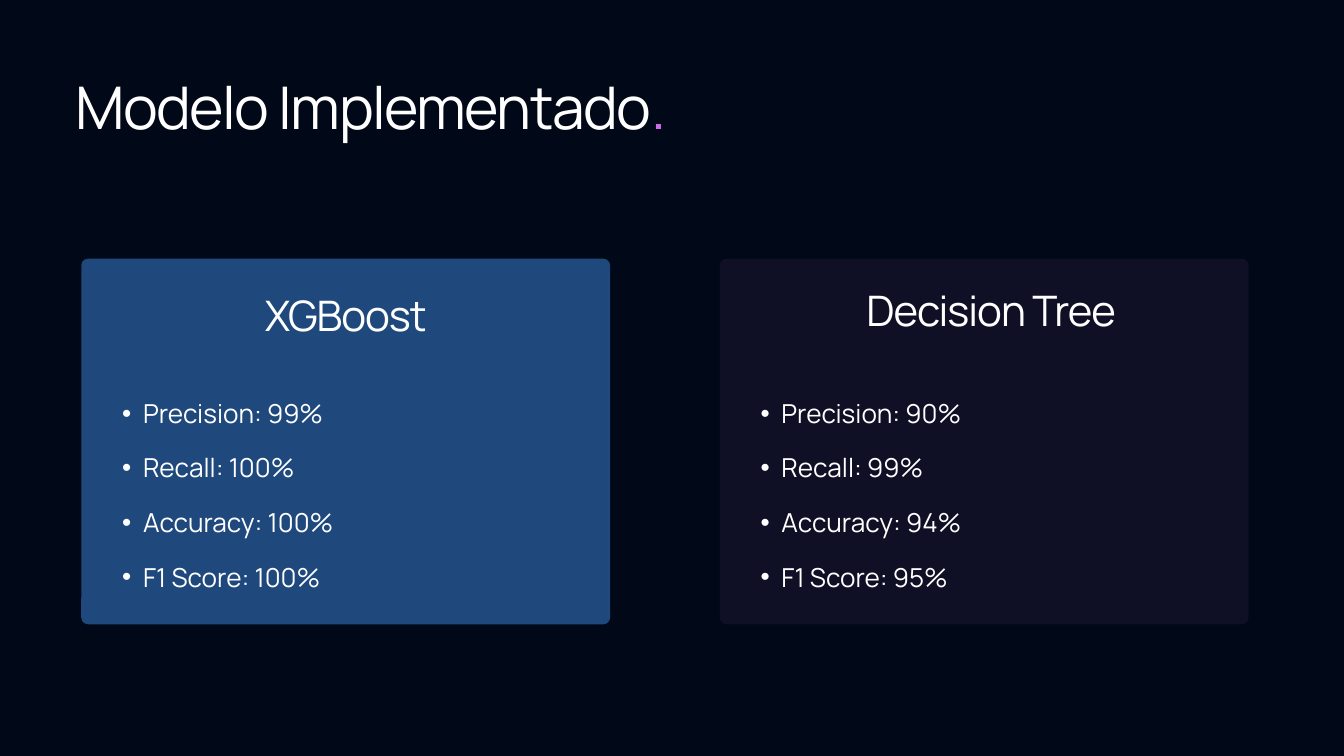
from lxml import etree
from pptx import Presentation
from pptx import util as u
from pptx.dml import color
from pptx.enum import shapes, text
from pptx.oxml import ns

FONT = "Manrope"
COLORS = {
    "background": "010817",
    "text": "FFFFFF",
    "accent": "CB6CE6",
    "blue": "1F497D",
}
CARD_TOP, CARD_WIDTH, CARD_HEIGHT = 3.85, 7.87, 5.44
CORNER = 0.1
MODELS = [
    {
        "name": "XGBoost", "left": 1.21, "fill": "blue", "alpha": None,
        "heading": (3.27, 4.37, 3.75, 0.51), "heading_fill": "blue",
        "metrics": ["Precision: 99%", "Recall: 100%", "Accuracy: 100%", "F1 Score: 100%"],
    },
    {
        "name": "Decision Tree", "left": 10.71, "fill": "accent", "alpha": 7,
        "heading": (12.25, 4.3, 5, 0.7), "heading_fill": None,
        "metrics": ["Precision: 90%", "Recall: 99%", "Accuracy: 94%", "F1 Score: 95%"],
    },
]


def rgb(name):
    return color.RGBColor.from_string(COLORS[name])


def place(sp, left, top, width, height):
    sp.left, sp.top = u.Inches(left), u.Inches(top)
    sp.width, sp.height = u.Inches(width), u.Inches(height)


def style_run(r, size, color_name="text", spacing=0):
    r.font.name = FONT
    r.font.size = u.Pt(size)
    r.font.color.rgb = rgb(color_name)
    if spacing:
        r.font._element.set("spc", str(round(spacing * 100)))


def set_frame(tf, inset=None):
    tf.word_wrap = True
    tf.auto_size = text.MSO_AUTO_SIZE.SHAPE_TO_FIT_TEXT
    tf.vertical_anchor = text.MSO_ANCHOR.TOP
    if inset is not None:
        tf.margin_left = tf.margin_right = u.Inches(inset)
        tf.margin_top = tf.margin_bottom = u.Inches(inset)


def add_title(s, words, mark):
    sp = s.shapes.title
    place(sp, 1.12, 1.14, 11.21, 0.97)
    set_frame(sp.text_frame, 0)
    p = sp.text_frame.paragraphs[0]
    p.alignment = text.PP_ALIGN.LEFT
    p.line_spacing = u.Pt(69.3)
    for part, color_name in ((words, "text"), (mark, "accent")):
        r = p.add_run()
        r.text = part
        style_run(r, 63, color_name, -1.6)


def add_filled(s, kind, box, fill):
    sp = s.shapes.add_shape(kind, *map(u.Inches, box))
    sp.shadow.inherit = False
    sp.line.fill.background()
    sp.fill.solid()
    sp.fill.fore_color.rgb = rgb(fill)
    return sp


def add_card(s, left, fill, alpha):
    sp = add_filled(s, shapes.MSO_SHAPE.ROUNDED_RECTANGLE,
                    (left, CARD_TOP, CARD_WIDTH, CARD_HEIGHT), fill)
    sp.adjustments[0] = CORNER / CARD_HEIGHT
    if alpha is not None:
        clr = sp._element.spPr.find(ns.qn("a:solidFill"))[0]
        etree.SubElement(clr, ns.qn("a:alpha")).set("val", str(alpha * 1000))


def add_heading(s, words, box, fill):
    if fill:
        sp = add_filled(s, shapes.MSO_SHAPE.RECTANGLE, box, fill)
    else:
        sp = s.shapes.add_textbox(*map(u.Inches, box))
    set_frame(sp.text_frame, 0)
    sp.text_frame.text = words
    p = sp.text_frame.paragraphs[0]
    p.alignment = text.PP_ALIGN.CENTER
    p.line_spacing = u.Pt(49.5)
    style_run(p.runs[0], 45, spacing=-1.1)


def add_bullet(p):
    pPr = p._p.get_or_add_pPr()
    indent = u.Inches(0.31)
    pPr.set("marL", str(indent))
    pPr.set("indent", str(-indent))
    etree.SubElement(pPr, ns.qn("a:buFont")).set("typeface", "Arial")
    etree.SubElement(pPr, ns.qn("a:buChar")).set("char", "•")


def add_metrics(s, left, metrics):
    sp = s.shapes.add_textbox(
        u.Inches(left), u.Inches(5.63), u.Inches(7.11), u.Inches(3.26))
    tf = sp.text_frame
    set_frame(tf)
    tf.text = "\n".join(metrics)
    for p in tf.paragraphs:
        p.alignment = text.PP_ALIGN.JUSTIFY
        p.line_spacing = 1.5
        p.space_after = u.Pt(8)
        add_bullet(p)
        style_run(p.runs[0], 28)


def main():
    prs = Presentation()
    prs.slide_width, prs.slide_height = u.Inches(20), u.Inches(11.25)
    s = prs.slides.add_slide(prs.slide_layouts[5])
    s.background.fill.solid()
    s.background.fill.fore_color.rgb = rgb("background")
    add_title(s, "Modelo Implementado", ".")
    for model in MODELS:
        add_card(s, model["left"], model["fill"], model["alpha"])
        add_heading(s, model["name"], model["heading"], model["heading_fill"])
        add_metrics(s, model["left"] + 0.51, model["metrics"])
    prs.save("out.pptx")


if __name__ == "__main__":
    main()
